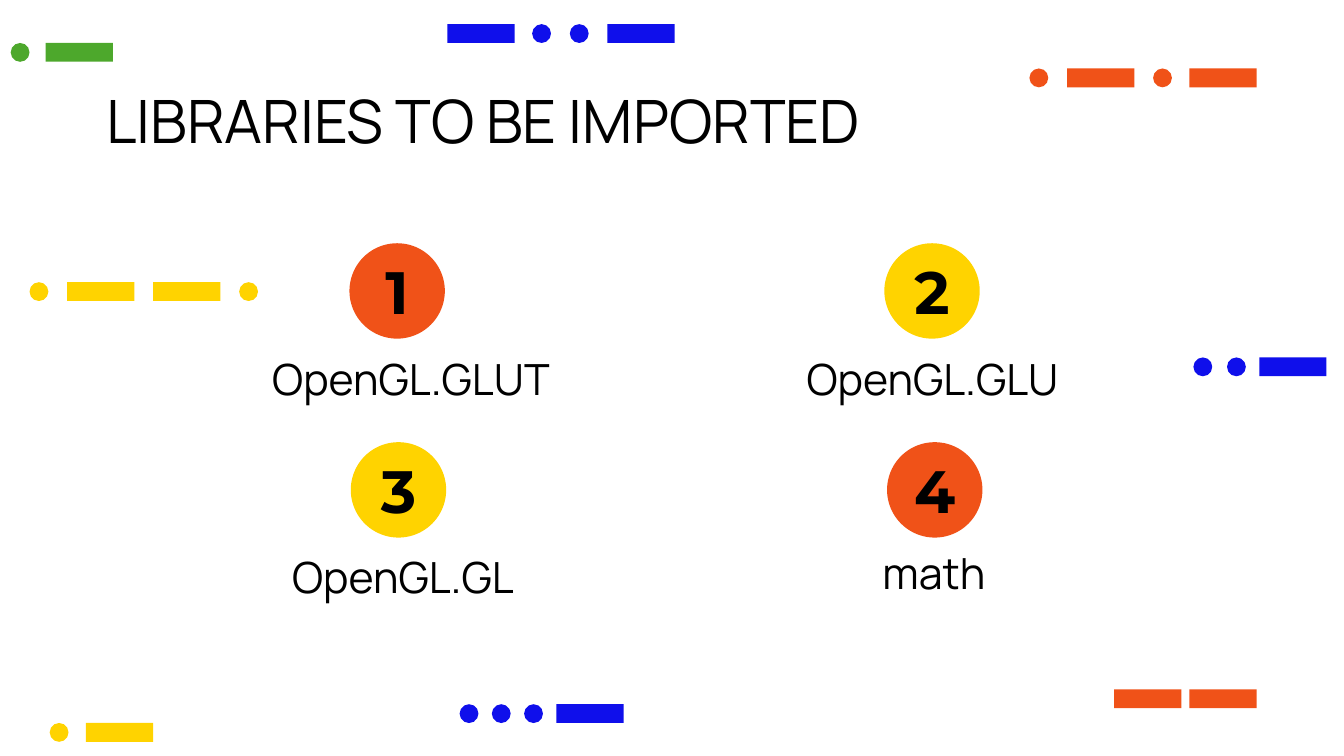
from pptx import Presentation
from pptx.dml.color import RGBColor
from pptx.enum.shapes import MSO_SHAPE
from pptx.enum.text import MSO_ANCHOR, PP_ALIGN
from pptx.util import Inches, Pt

RECT, OVAL = MSO_SHAPE.RECTANGLE, MSO_SHAPE.OVAL
TOP, MIDDLE = MSO_ANCHOR.TOP, MSO_ANCHOR.MIDDLE
LEFT, CENTER = PP_ALIGN.LEFT, PP_ALIGN.CENTER
ORANGE, YELLOW, BLUE, GREEN = "F05218", "FFD300", "0F0FEB", "4DA82C"
DOT, BAR, BADGE = 0.14, 0.5, 0.71

# top, colour, lefts of dots, lefts of bars
DASHES = [
    (5.13, ORANGE, [], [8.29, 8.85]),
    (5.38, YELLOW, [0.37], [0.64]),
    (2.66, BLUE, [8.88, 9.13], [9.37]),
    (0.32, GREEN, [0.08], [0.34]),
    (0.18, BLUE, [3.96, 4.24], [3.33, 4.52]),
    (2.1, YELLOW, [0.22, 1.78], [0.5, 1.14]),
    (5.24, BLUE, [3.42, 3.66, 3.9], [4.14]),
    (0.51, ORANGE, [7.66, 8.58], [7.94, 8.85]),
]

# name, colour, badge position, label position
LIBRARIES = [
    ("OpenGL.GLUT", ORANGE, (2.6, 1.81), (1.71, 2.52)),
    ("OpenGL.GLU", YELLOW, (6.58, 1.81), (5.59, 2.52)),
    ("OpenGL.GL", YELLOW, (2.61, 3.29), (1.65, 4)),
    ("math", ORANGE, (6.6, 3.29), (5.6, 3.97)),
]


def rgb(color):
    """Turn a hex string into a colour."""
    return RGBColor.from_string(color)


def write(sp, text, size=23, font="Manrope", color="000000", bold=False,
          align=CENTER, anchor=TOP, left=0.1, right=0.1):
    """Put one formatted line of text into a shape."""
    tf = sp.text_frame
    tf.word_wrap = True
    tf.vertical_anchor = anchor
    tf.margin_left, tf.margin_right = Inches(left), Inches(right)
    tf.margin_top = tf.margin_bottom = Inches(0.1)
    p = tf.paragraphs[0]
    p.alignment = align
    r = p.add_run()
    r.text = text
    r.font.size, r.font.name, r.font.bold = Pt(size), font, bold
    r.font.color.rgb = rgb(color)


def add_shape(s, kind, left, top, width, height, color):
    """Add a plain filled shape without outline."""
    sp = s.shapes.add_shape(kind, Inches(left), Inches(top), Inches(width), Inches(height))
    sp.shadow.inherit = False
    sp.fill.solid()
    sp.fill.fore_color.rgb = rgb(color)
    sp.line.fill.background()
    return sp


def add_dashes(s, top, color, dots, bars):
    """Add a row of dots and bars."""
    for left in dots:
        add_shape(s, OVAL, left, top, DOT, DOT, color)
    for left in bars:
        add_shape(s, RECT, left, top, BAR, DOT, color)


def add_title(s, text):
    """Place and fill the title placeholder."""
    sp = s.shapes.title
    sp.left, sp.top, sp.width, sp.height = map(Inches, (0.79, 0.52, 8.43, 0.63))
    write(sp, text, size=32, align=LEFT, left=0)


def add_library(s, number, name, color, badge, label):
    """Add a numbered badge and the library name below it."""
    sp = add_shape(s, OVAL, *badge, BADGE, BADGE, color)
    write(sp, str(number), size=32, font="Montserrat", bold=True,
          anchor=MIDDLE, left=0, right=0)
    sp = s.shapes.add_textbox(*map(Inches, (*label, 2.7, 0.61)))
    write(sp, name)


def main():
    """Build the slide and save it."""
    prs = Presentation()
    prs.slide_width = Inches(10)
    prs.slide_height = prs.slide_width * 9 // 16
    s = prs.slides.add_slide(prs.slide_layouts[5])
    for dashes in DASHES:
        add_dashes(s, *dashes)
    add_title(s, "LIBRARIES TO BE IMPORTED")
    for number, library in enumerate(LIBRARIES, 1):
        add_library(s, number, *library)
    prs.save("out.pptx")


if __name__ == "__main__":
    main()
